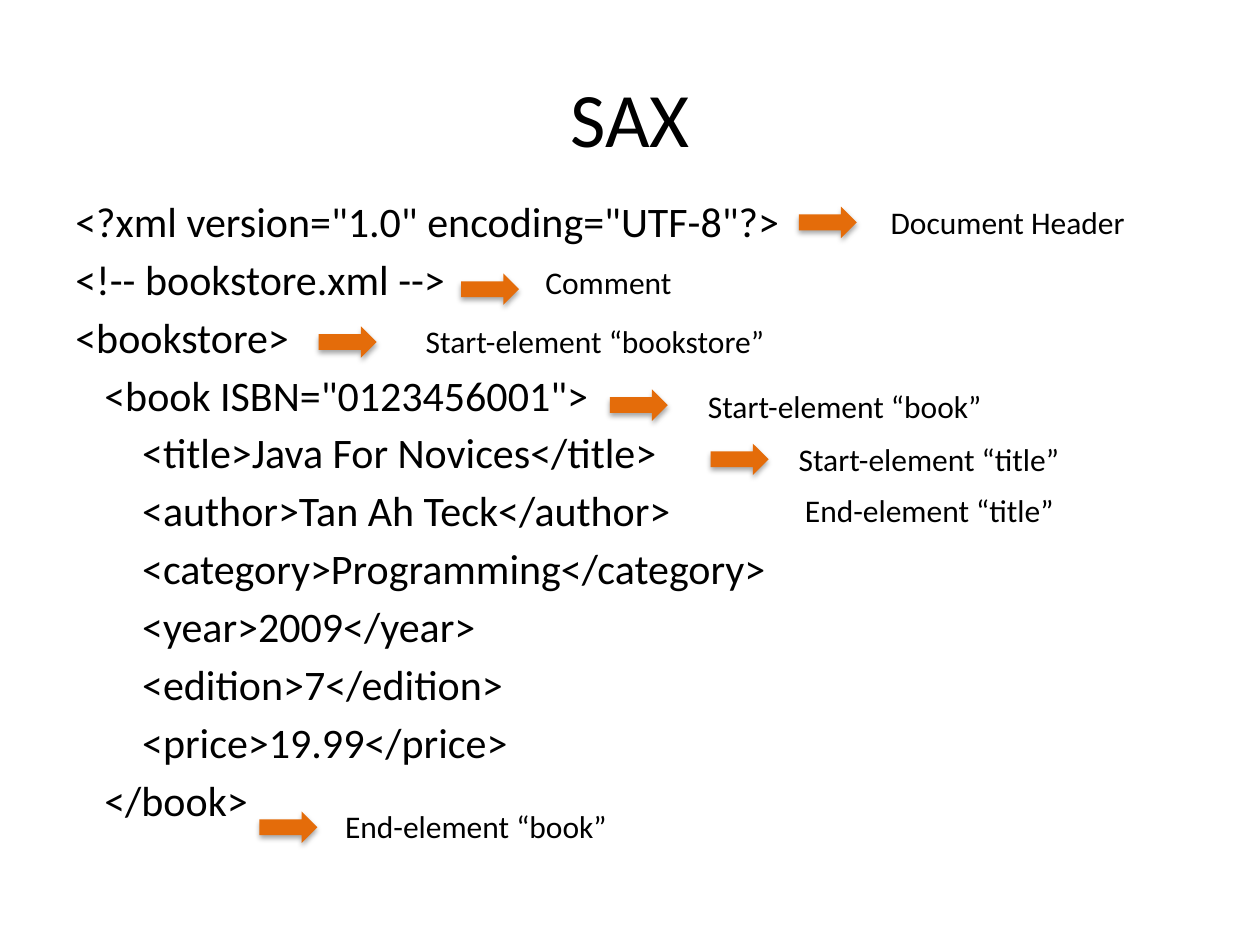
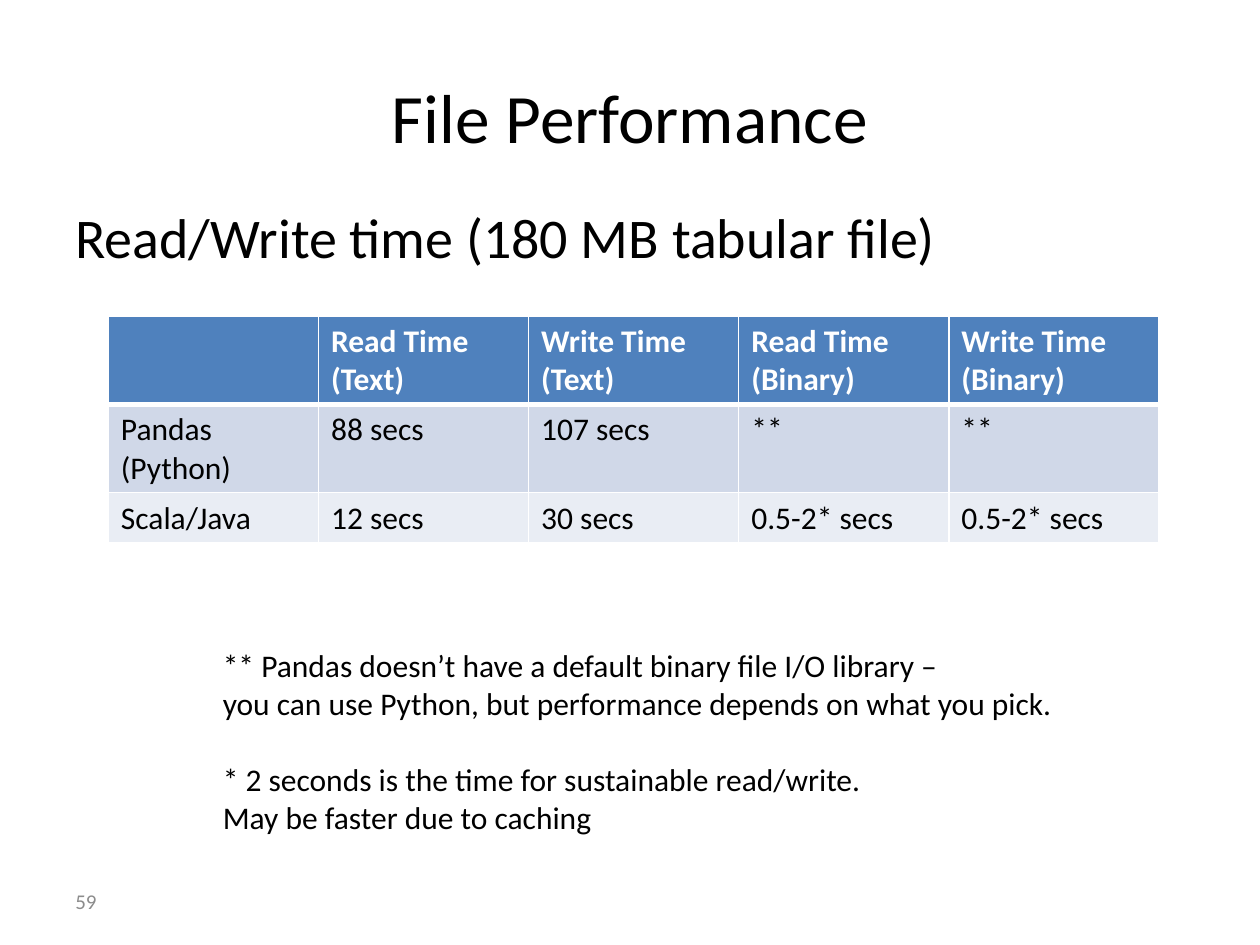
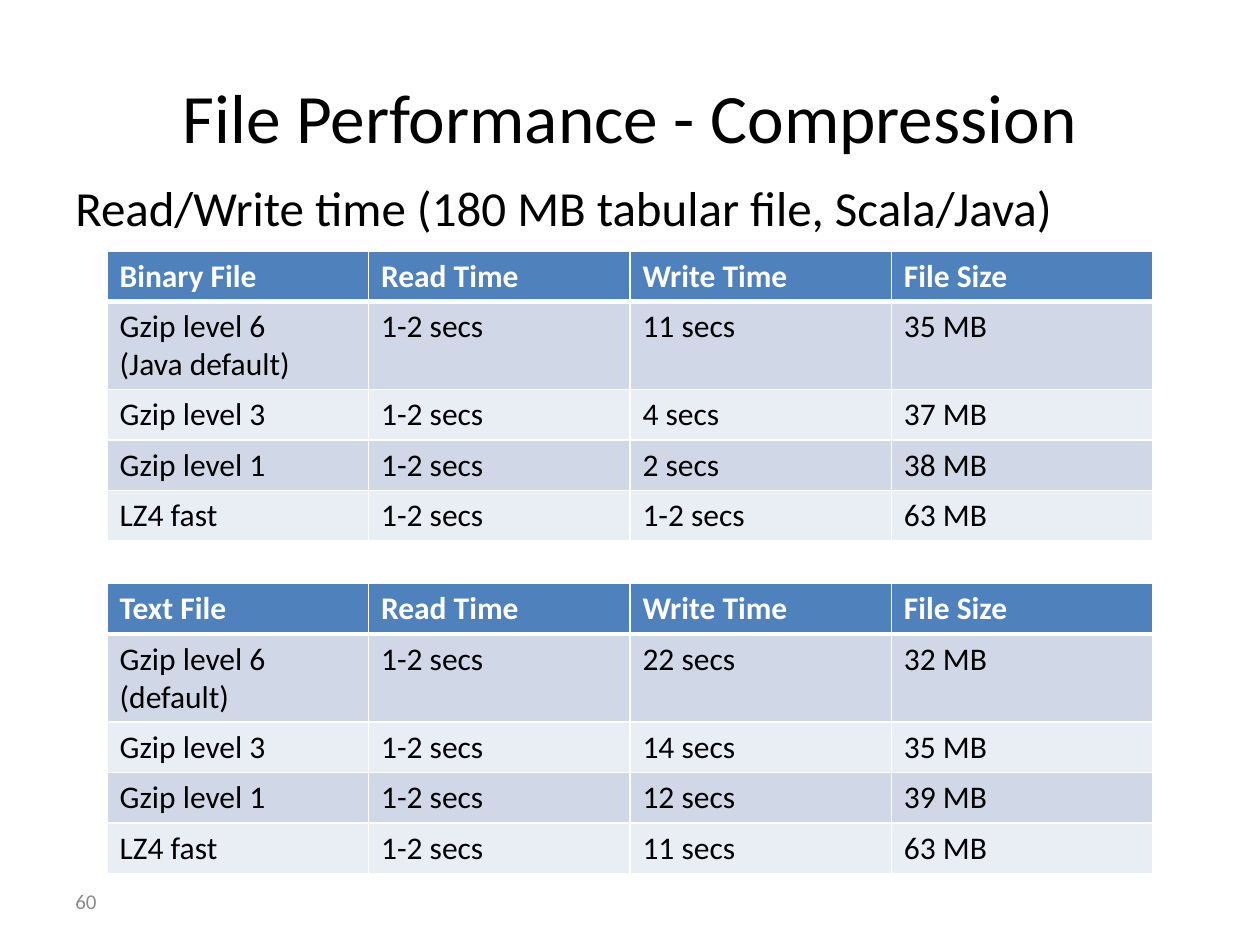
from lxml import etree
from pptx import Presentation
from pptx.dml.color import RGBColor
from pptx.enum.shapes import MSO_SHAPE
from pptx.enum.text import MSO_ANCHOR, MSO_AUTO_SIZE, PP_ALIGN
from pptx.oxml import parse_xml
from pptx.oxml.ns import nsdecls, qn
from pptx.util import Inches, Pt

FONT = "Calibri"
BLACK = RGBColor(0x00, 0x00, 0x00)
WHITE = RGBColor(0xFF, 0xFF, 0xFF)
GRAY = RGBColor(0x8C, 0x8C, 0x8C)
ORANGE = RGBColor(0xE4, 0x6C, 0x0A)
HEADER_BLUE = RGBColor(0x4F, 0x81, 0xBD)
BANDS = (RGBColor(0xD0, 0xD8, 0xE8), RGBColor(0xE9, 0xED, 0xF4))

# Boxes are left, top, width, height in inches.
SAX_TITLE_BOX = (0.5, 0.3, 9, 1.25)
TITLE_BOX = (0.61, 0.59, 8.78, 0.66)
NUMBER_BOX = (0.5, 6.95, 2.33, 0.4)
ARROW_SIZE = (0.46, 0.25)
LABEL_HEIGHT = 0.4
ROW_HEIGHT = 0.4
TALL_ROW_HEIGHT = 0.7

# Indent in inches, line of XML
XML_LINES = [
    (0, '<?xml version="1.0" encoding="UTF-8"?>'),
    (0, "<!-- bookstore.xml -->"),
    (0, "<bookstore>"),
    (0.23, '<book ISBN="0123456001">'),
    (0.53, "<title>Java For Novices</title>"),
    (0.53, "<author>Tan Ah Teck</author>"),
    (0.53, "<category>Programming</category>"),
    (0.53, "<year>2009</year>"),
    (0.53, "<edition>7</edition>"),
    (0.53, "<price>19.99</price>"),
    (0.23, "</book>"),
]

# Event name, left, top and width of its label, left and top of its arrow
SAX_EVENTS = [
    ("Document Header", (6.97, 1.56, 2.08), (6.34, 1.64)),
    ("Comment", (4.23, 2.04, 1.21), (3.66, 2.17)),
    ("Start-element “bookstore”", (3.28, 2.51, 2.92), (2.53, 2.59)),
    ("Start-element “book”", (5.52, 3.02, 2.4), (4.84, 3.09)),
    ("Start-element “title”", (6.24, 3.44, 2.3), (5.64, 3.52)),
    ("End-element “title”", (6.29, 3.85, 2.2), None),
    ("End-element “book”", (2.64, 6.36, 2.3), (2.06, 6.44)),
]

LIBRARY_TIMES = [
    ("", "Read Time (Text)", "Write Time (Text)", "Read Time\n(Binary)", "Write Time\n(Binary)"),
    ("Pandas (Python)", "88 secs", "107 secs", "**", "**"),
    ("Scala/Java", "12 secs", "30 secs", "0.5-2* secs", "0.5-2* secs"),
]
FOOTNOTES = [
    "** Pandas doesn’t have a default binary file I/O library –\n"
    "you can use Python, but performance depends on what you pick.",
    "* 2 seconds is the time for sustainable read/write.\nMay be faster due to caching",
]

BINARY_COMPRESSION = [
    ("Binary File", "Read Time", "Write Time", "File Size"),
    ("Gzip level 6\n(Java default)", "1-2 secs", "11 secs", "35 MB"),
    ("Gzip level 3", "1-2 secs", "4 secs", "37 MB"),
    ("Gzip level 1", "1-2 secs", "2 secs", "38 MB"),
    ("LZ4 fast", "1-2 secs", "1-2 secs", "63 MB"),
]
TEXT_COMPRESSION = [
    ("Text File", "Read Time", "Write Time", "File Size"),
    ("Gzip level 6 (default)", "1-2 secs", "22 secs", "32 MB"),
    ("Gzip level 3", "1-2 secs", "14 secs", "35 MB"),
    ("Gzip level 1", "1-2 secs", "12 secs", "39 MB"),
    ("LZ4 fast", "1-2 secs", "11 secs", "63 MB"),
]


def inches(values):
    return [Inches(value) for value in values]


def write(paragraph, text, size, color=BLACK, bold=False):
    paragraph.text = text
    font = paragraph.font
    font.name, font.size, font.bold = FONT, Pt(size), bold
    font.color.rgb = color


def add_text(page, box, texts, size, color=BLACK, anchor=MSO_ANCHOR.TOP,
             align=None, gap=0, wrap=True):
    """Add a text box with one paragraph per text, gap points apart."""
    frame = page.shapes.add_textbox(*inches(box)).text_frame
    frame.word_wrap = wrap
    frame.auto_size = MSO_AUTO_SIZE.NONE if wrap else MSO_AUTO_SIZE.SHAPE_TO_FIT_TEXT
    frame.vertical_anchor = anchor
    for index, text in enumerate(texts):
        paragraph = frame.add_paragraph() if index else frame.paragraphs[0]
        write(paragraph, text, size, color)
        paragraph.alignment = align
        if index:
            paragraph.space_before = Pt(gap)
    return frame


def add_page(deck, title, box=TITLE_BOX, size=39.6, number=None):
    page = deck.slides.add_slide(deck.slide_layouts[6])
    if number:
        add_text(page, NUMBER_BOX, [number], 12, GRAY, MSO_ANCHOR.MIDDLE)
    add_text(page, box, [title], size, anchor=MSO_ANCHOR.MIDDLE, align=PP_ALIGN.CENTER)
    return page


def add_arrow(page, place):
    arrow = page.shapes.add_shape(MSO_SHAPE.RIGHT_ARROW, *inches(place + ARROW_SIZE))
    arrow.fill.solid()
    arrow.fill.fore_color.rgb = ORANGE
    arrow.line.fill.background()
    arrow.shadow.inherit = False
    arrow._element.spPr.find(qn("a:effectLst")).append(parse_xml(
        f'<a:outerShdw {nsdecls("a")} blurRad="{Pt(3.1)}" dist="{Pt(1.8)}" dir="5400000" '
        'rotWithShape="0"><a:srgbClr val="000000"><a:alpha val="35000"/></a:srgbClr>'
        '</a:outerShdw>'))


def set_borders(cell, top, bottom):
    """Draw white cell borders; top and bottom are widths in points."""
    properties = cell._tc.get_or_add_tcPr()
    for index, (side, width) in enumerate(zip("LRTB", (1, 1, top, bottom))):
        line = etree.Element(qn(f"a:ln{side}"), w=str(Pt(width)))
        fill = etree.SubElement(line, qn("a:solidFill"))
        etree.SubElement(fill, qn("a:srgbClr"), val=str(WHITE))
        properties.insert(index, line)


def add_times_table(page, rows, left, top, width, tall_rows):
    heights = [TALL_ROW_HEIGHT if index in tall_rows else ROW_HEIGHT
               for index in range(len(rows))]
    table = page.shapes.add_table(
        len(rows), len(rows[0]), *inches((left, top, width, sum(heights)))).table
    for row_index, texts in enumerate(rows):
        table.rows[row_index].height = Inches(heights[row_index])
        is_header = row_index == 0
        for column_index, text in enumerate(texts):
            cell = table.cell(row_index, column_index)
            write(cell.text_frame.paragraphs[0], text, 18,
                  WHITE if is_header else BLACK, is_header)
            cell.fill.solid()
            cell.fill.fore_color.rgb = HEADER_BLUE if is_header else BANDS[(row_index - 1) % 2]
            set_borders(cell, 3 if row_index == 1 else 1, 3 if is_header else 1)


def add_sax_page(deck):
    page = add_page(deck, "SAX", SAX_TITLE_BOX, 44)
    code = add_text(page, (0.5, 1.5, 9, 5.58), [line for _, line in XML_LINES], 24, gap=4.3)
    for paragraph, (indent, _) in zip(code.paragraphs, XML_LINES):
        paragraph._p.get_or_add_pPr().set("marL", str(Inches(indent)))
    for name, label_place, arrow_place in SAX_EVENTS:
        if arrow_place:
            add_arrow(page, arrow_place)
        add_text(page, label_place + (LABEL_HEIGHT,), [name], 18, wrap=False)


def add_performance_page(deck):
    page = add_page(deck, "File Performance", number="59")
    add_text(page, (0.5, 1.56, 9, 4.95), ["Read/Write time (180 MB tabular file)"], 32)
    add_times_table(page, LIBRARY_TIMES, 0.86, 2.51, 8.34, tall_rows=(0, 1))
    add_text(page, (1.67, 5.08, 6.87, 1.62), FOOTNOTES, 18, gap=22, wrap=False)


def add_compression_page(deck):
    page = add_page(deck, "File Performance - Compression", number="60")
    add_text(page, (0.5, 1.36, 9, 5.34),
             ["Read/Write time (180 MB tabular file, Scala/Java)"], 28)
    for rows, top in ((BINARY_COMPRESSION, 1.99), (TEXT_COMPRESSION, 4.63)):
        add_times_table(page, rows, 0.85, top, 8.3, tall_rows=(1,))


def main():
    deck = Presentation()
    deck.slide_width, deck.slide_height = Inches(10), Inches(7.5)
    add_sax_page(deck)
    add_performance_page(deck)
    add_compression_page(deck)
    deck.save("out.pptx")


if __name__ == "__main__":
    main()
